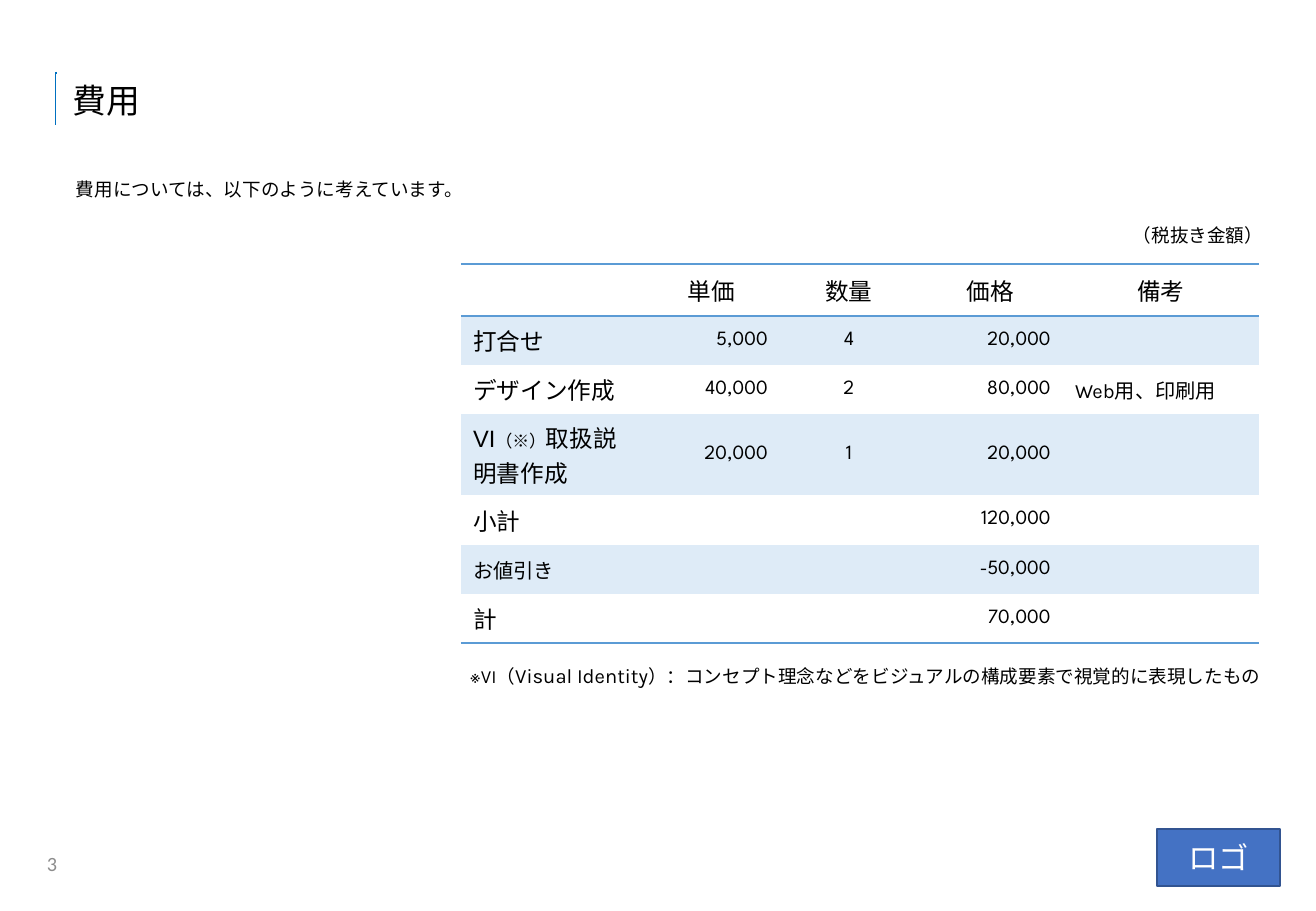
import itertools

import lxml.etree
import pptx
import pptx.dml.color
import pptx.enum.dml
import pptx.enum.shapes
import pptx.enum.text
import pptx.oxml
import pptx.oxml.ns
import pptx.util

RGBColor = pptx.dml.color.RGBColor
Align = pptx.enum.text.PP_ALIGN
Anchor = pptx.enum.text.MSO_ANCHOR
Shape = pptx.enum.shapes.MSO_SHAPE

BLACK = RGBColor(0x00, 0x00, 0x00)
WHITE = RGBColor(0xFF, 0xFF, 0xFF)
GRAY = RGBColor(0x8C, 0x8C, 0x8C)
TITLE_BLUE = RGBColor(0x00, 0x70, 0xC0)
RULE_BLUE = RGBColor(0x5B, 0x9B, 0xD5)
BAND_BLUE = RGBColor(0xDE, 0xEB, 0xF7)
BADGE_BLUE = RGBColor(0x44, 0x72, 0xC4)
BADGE_EDGE = RGBColor(0x32, 0x54, 0x91)

JAPANESE, LATIN, NUMERIC, OFFICE = "Arial", "Karla", "League Spartan", "Calibri"
EMU_PER_PIXEL = 914400 / 121.5
NO_GRID_STYLE = "{2D5ABB26-0587-4C30-8999-92F81FD0307C}"


def px(*lengths):
    """Turn whole pixels into EMU."""
    return [pptx.util.Emu(round(length * EMU_PER_PIXEL)) for length in lengths]


def assign(target, values):
    """Set every attribute named in a dict of format values."""
    for name, value in values.items():
        setattr(target, name, value)


class CostSlide:
    """Holds the shared style and the slide being built."""

    heading = {"line_spacing": 0.9}
    prose = {"line_spacing": 0.9, "space_before": pptx.util.Pt(10)}

    def __init__(self, deck):
        """Add a blank slide to the deck."""
        self.shapes = deck.slides.add_slide(deck.slide_layouts[6]).shapes

    def fill_text(self, frame, runs, color=BLACK, paragraph=None):
        """Fill a frame's first paragraph with (text, size, font) runs."""
        line = frame.paragraphs[0]
        assign(line, paragraph or {})
        for text, size, font in runs:
            run = line.add_run()
            run.text = text
            assign(run.font, {"size": pptx.util.Pt(size), "name": font})
            run.font.color.rgb = color

    def text(self, box, runs, anchor=Anchor.TOP, **style):
        """Add a wrapping text box."""
        frame = self.shapes.add_textbox(*px(*box)).text_frame
        assign(frame, {"word_wrap": True, "vertical_anchor": anchor})
        self.fill_text(frame, runs, **style)

    def rectangle(self, box, fill, edge, weight):
        """Add a rectangle; without a fill it is only an outline."""
        shape = self.shapes.add_shape(Shape.RECTANGLE, *px(*box))
        shape.shadow.inherit = False
        if fill is None:
            shape.fill.background()
        else:
            shape.fill.solid()
            shape.fill.fore_color.rgb = fill
        shape.line.color.rgb = edge
        shape.line.width = pptx.util.Pt(weight)
        return shape

    def rule(self, start, end, color, weight):
        """Add a straight line without a shadow."""
        line = self.shapes.add_connector(
            pptx.enum.shapes.MSO_CONNECTOR.STRAIGHT, *px(*start, *end))
        line.line.color.rgb = color
        line.line.width = pptx.util.Pt(weight)
        lxml.etree.SubElement(line._element.spPr, pptx.oxml.ns.qn("a:effectLst"))

    def border(self, cell, edges):
        """Draw blue rules on the given cell edges, in schema order."""
        for position, edge in enumerate(edges):
            cell._tc.get_or_add_tcPr().insert(position, pptx.oxml.parse_xml(
                f'<a:{edge} {pptx.oxml.ns.nsdecls("a")} w="12700"><a:solidFill>'
                f'<a:srgbClr val="{RULE_BLUE}"/></a:solidFill></a:{edge}>'))

    def table(self, corner, widths, heights, rows):
        """Add the banded cost table; rows hold lists of runs per cell."""
        box = px(*corner, sum(widths), sum(heights))
        grid = self.shapes.add_table(len(rows), len(widths), *box).table
        assign(grid, {"first_row": False, "horz_banding": False})
        grid._tbl.tblPr.find(pptx.oxml.ns.qn("a:tableStyleId")).text = NO_GRID_STYLE
        for column, width in zip(grid.columns, px(*widths)):
            column.width = width
        for row, height in zip(grid.rows, px(*heights)):
            row.height = height
        aligns = [Align.LEFT, Align.RIGHT, Align.CENTER, Align.RIGHT, Align.LEFT]
        edges = {0: ["lnT", "lnB"], len(rows) - 1: ["lnB"]}
        for r, c in itertools.product(range(len(rows)), range(len(widths))):
            cell, runs = grid.cell(r, c), rows[r][c]
            cell.vertical_anchor = Anchor.MIDDLE
            if r % 2:
                cell.fill.solid()
                cell.fill.fore_color.rgb = BAND_BLUE
            else:
                cell.fill.background()
            self.border(cell, edges.get(r, []))
            alignment = aligns[c] if r else Align.CENTER
            self.fill_text(cell.text_frame, runs, paragraph={"alignment": alignment})
            if not runs:
                lxml.etree.SubElement(cell.text_frame.paragraphs[0]._p,
                                      pptx.oxml.ns.qn("a:endParaRPr"), sz="1200")


def label(text, size=14):
    """Give the runs of a Japanese label."""
    return [(text, size, JAPANESE)] if text else []


def cost_row(item, unit="", count="", price="", remark=""):
    """Give the cells of one cost line."""
    numbers = [[(value, 12, NUMERIC)] if value else [] for value in (unit, count, price)]
    return [item, *numbers, [(remark, 12, LATIN)] if remark else []]


deck = pptx.Presentation()
assign(deck, dict(zip(("slide_width", "slide_height"), px(1316, 911))))
slide = CostSlide(deck)

slide.rule((56, 72), (56, 125), TITLE_BLUE, 1.5)
page_frame = slide.rectangle((56, 74, 1204, 795), None, WHITE, 0.25)
page_frame.line.dash_style = pptx.enum.dml.MSO_LINE.ROUND_DOT
slide.text((35, 842, 52, 43), [("3", 12, OFFICE)], Anchor.MIDDLE, color=GRAY)
badge = slide.rectangle((1157, 829, 123, 57), BADGE_BLUE, BADGE_EDGE, 1)
badge.text_frame.vertical_anchor = Anchor.MIDDLE
slide.fill_text(badge.text_frame, [("ロゴ", 18, OFFICE)], WHITE, {"alignment": Align.CENTER})

costs = [
    [label(heading) for heading in ("", "単価", "数量", "価格", "備考")],
    cost_row(label("打合せ"), "5,000", "4", "20,000"),
    cost_row(label("デザイン作成"), "40,000", "2", "80,000", "Web用、印刷用"),
    cost_row(label("VI") + label("（※）", 10) + label("取扱説明書作成"),
             "20,000", "1", "20,000"),
    cost_row(label("小計"), price="120,000"),
    cost_row(label("お値引き", 12), price="-50,000"),
    cost_row(label("計"), price="70,000"),
]
slide.table((461, 264), [182, 137, 138, 145, 196], [52, 49, 49, 81, 50, 49, 49], costs)

slide.text((64, 174, 825, 57), label("費用については、以下のように考えています。", 11),
           paragraph=slide.prose)
slide.text((61, 74, 597, 57), label("費用", 20), Anchor.MIDDLE, paragraph=slide.heading)
vi_note = [
    *label("※", 11), ("VI", 11, LATIN), *label("（", 11), ("Visual Identity", 12, LATIN),
    *label("）：コンセプト理念などをビジュアルの構成要素で視覚的に表現したもの", 11),
]
slide.text((458, 660, 825, 57), vi_note, paragraph=slide.prose)
slide.text((1121, 221, 165, 38), label("（税抜き金額）", 11), paragraph=slide.prose)

deck.save("out.pptx")
